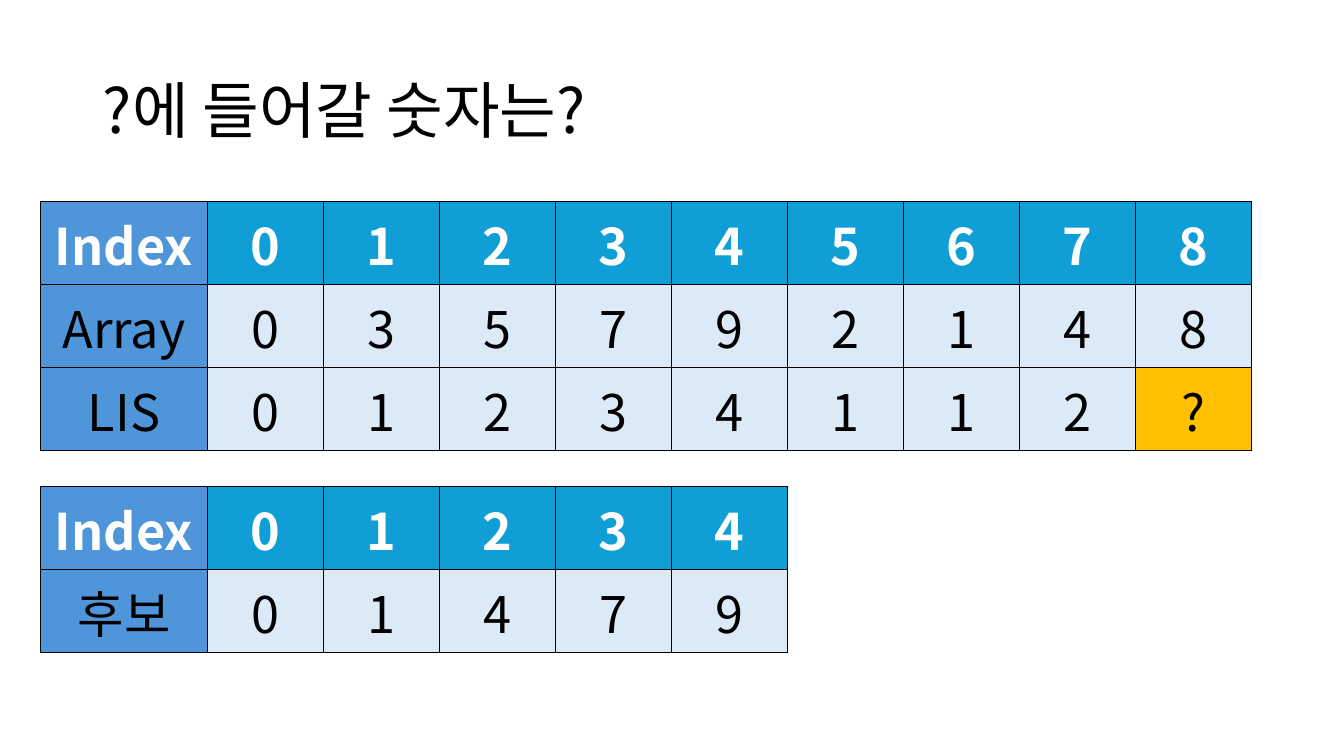
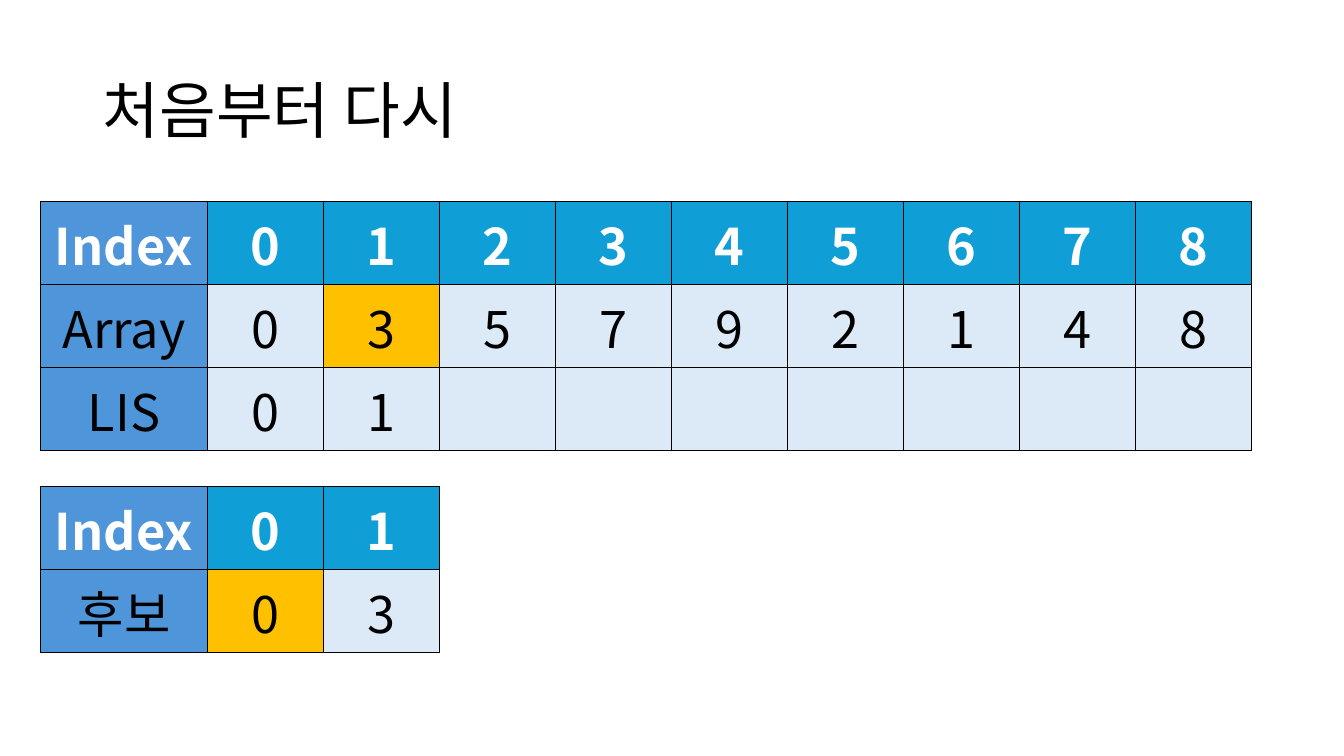
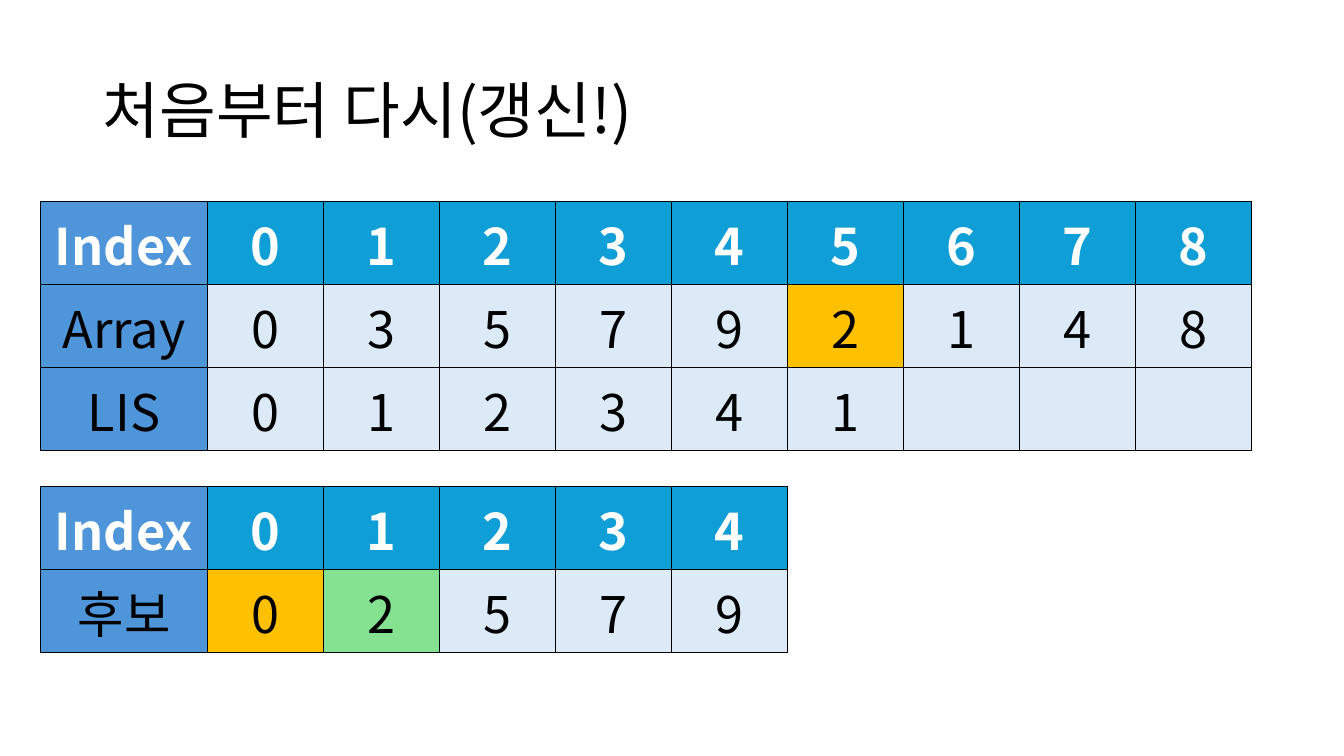
from lxml.etree import SubElement
from pptx import Presentation
from pptx.dml.color import RGBColor
from pptx.enum.text import MSO_ANCHOR, PP_ALIGN
from pptx.oxml.ns import qn
from pptx.util import Inches, Pt

# Shared style
FONT = "Noto Sans CJK KR"
BLACK = RGBColor(0x00, 0x00, 0x00)
WHITE = RGBColor(0xFF, 0xFF, 0xFF)
LABEL_BLUE = RGBColor(0x4E, 0x95, 0xD9)
HEADER_BLUE = RGBColor(0x0F, 0x9E, 0xD5)
PALE_BLUE = RGBColor(0xDC, 0xEA, 0xF7)
AMBER = RGBColor(0xFF, 0xC0, 0x00)
GREEN = RGBColor(0x84, 0xE2, 0x91)

# Shared grid
TABLE_LEFT = Inches(0.4)
LABEL_WIDTH = Inches(1.66)
VALUE_WIDTH = Inches(1.15)
ROW_HEIGHT = Inches(0.82)
SEQUENCE_TOP = Inches(2)
CANDIDATE_TOP = Inches(4.83)

ARRAY = "035792148"

# Each step: title, LIS so far, candidates, and highlights by (row, column)
STEPS = [
    ("?에 들어갈 숫자는?", "01234112?", "01479", {(2, 9): AMBER}, {}),
    ("처음부터 다시", "01", "03", {(1, 2): AMBER}, {(1, 1): AMBER}),
    ("처음부터 다시(갱신!)", "012341", "02579", {(1, 6): AMBER},
     {(1, 1): AMBER, (1, 2): GREEN}),
]


def write(frame, text, size=36, color=BLACK, bold=False, align=PP_ALIGN.CENTER, spacing=None):
    paragraph = frame.paragraphs[0]
    paragraph.alignment = align
    paragraph.line_spacing = spacing
    run = paragraph.add_run()
    run.text = text
    run.font.size = Pt(size)
    run.font.bold = bold
    run.font.color.rgb = color
    run.font.name = FONT
    # Korean glyphs take the East Asian typeface
    SubElement(run.font._element, qn("a:ea"), typeface=FONT)


def add_borders(cell):
    properties = cell._tc.get_or_add_tcPr()
    for side in ("lnL", "lnR", "lnT", "lnB"):
        line = SubElement(properties, qn(f"a:{side}"), w=str(Pt(1)))
        fill = SubElement(line, qn("a:solidFill"))
        SubElement(fill, qn("a:srgbClr"), val=str(BLACK))


def cell_color(row, column):
    if column == 0:
        return LABEL_BLUE
    return HEADER_BLUE if row == 0 else PALE_BLUE


def add_index_table(slide, top, columns, rows, highlights):
    """Draw an index header above labelled rows of one-digit values."""
    lines = [("Index", "".join(map(str, range(columns))))] + rows
    table = slide.shapes.add_table(
        len(lines), columns + 1, TABLE_LEFT, top,
        LABEL_WIDTH + columns * VALUE_WIDTH, len(lines) * ROW_HEIGHT).table
    for column, grid_column in enumerate(table.columns):
        grid_column.width = VALUE_WIDTH if column else LABEL_WIDTH
    for row, (label, values) in enumerate(lines):
        table.rows[row].height = ROW_HEIGHT
        texts = [label, *values.ljust(columns)]
        for column, text in enumerate(texts):
            cell = table.cell(row, column)
            cell.vertical_anchor = MSO_ANCHOR.MIDDLE
            add_borders(cell)
            cell.fill.solid()
            cell.fill.fore_color.rgb = highlights.get((row, column), cell_color(row, column))
            if text.strip():
                header = row == 0
                write(cell.text_frame, text, color=WHITE if header else BLACK, bold=header)


def add_title(slide, text):
    title = slide.shapes.title
    title.left, title.top = Inches(0.92), Inches(0.4)
    title.width, title.height = Inches(11.5), Inches(1.45)
    title.text_frame.vertical_anchor = MSO_ANCHOR.MIDDLE
    write(title.text_frame, text, size=44, align=PP_ALIGN.LEFT, spacing=0.9)


def main():
    deck = Presentation()
    deck.slide_width, deck.slide_height = Inches(13.33), Inches(7.5)
    title_only = deck.slide_layouts[5]
    for title, lis, candidates, sequence_marks, candidate_marks in STEPS:
        slide = deck.slides.add_slide(title_only)
        add_title(slide, title)
        add_index_table(slide, SEQUENCE_TOP, len(ARRAY),
                        [("Array", ARRAY), ("LIS", lis)], sequence_marks)
        add_index_table(slide, CANDIDATE_TOP, len(candidates),
                        [("후보", candidates)], candidate_marks)
    deck.save("out.pptx")


if __name__ == "__main__":
    main()
